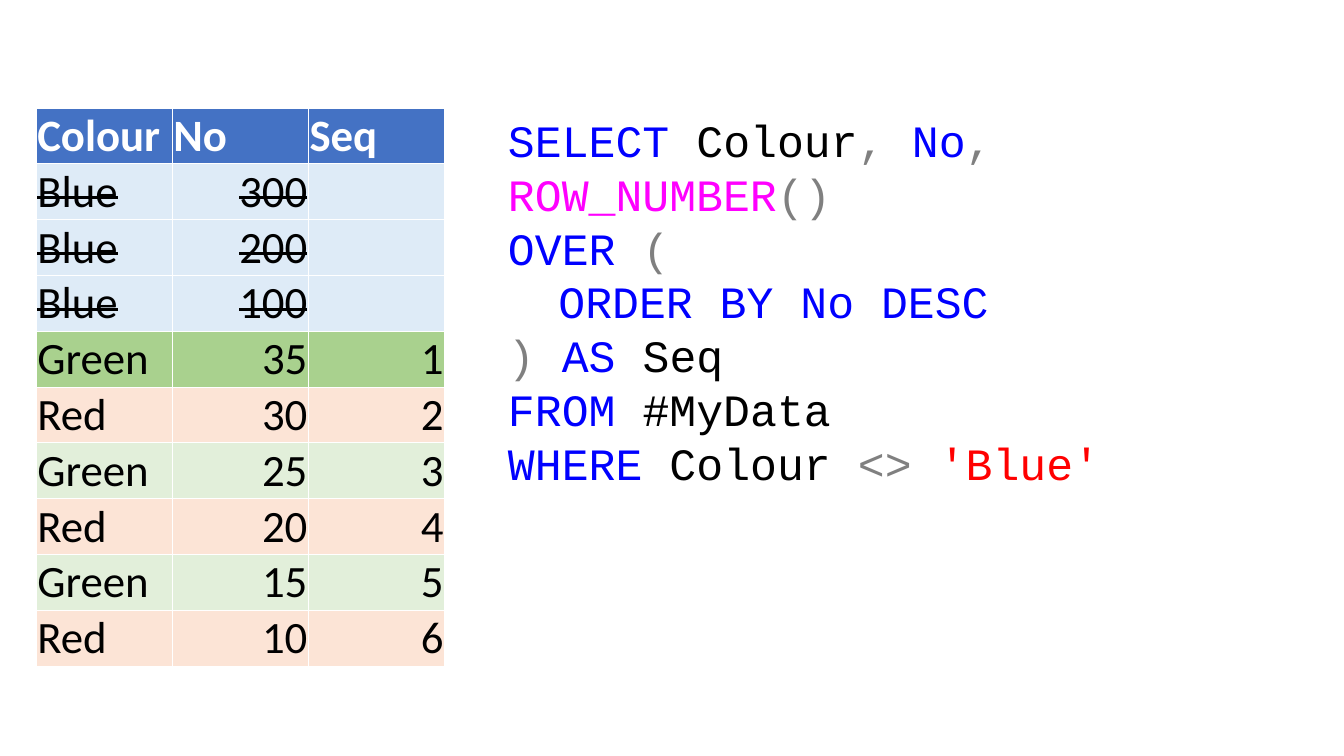
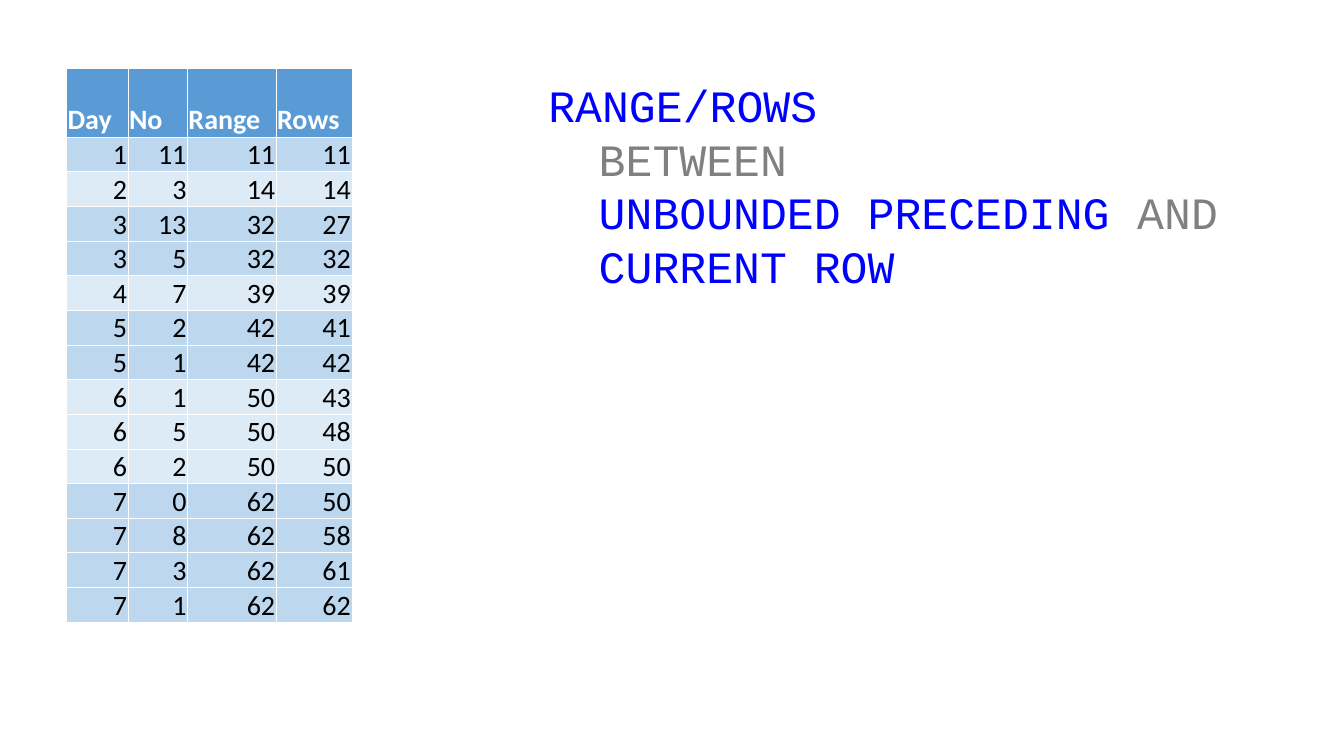
from itertools import accumulate

from lxml.etree import SubElement
from pptx import Presentation
from pptx.dml.color import RGBColor
from pptx.enum.text import MSO_ANCHOR as ANCHOR, MSO_AUTO_SIZE as AUTO, PP_ALIGN as ALIGN
from pptx.oxml.ns import qn
from pptx.util import Inches, Pt

# Colours
WHITE = RGBColor(0xFF, 0xFF, 0xFF)
BLACK = RGBColor(0x00, 0x00, 0x00)
KEYWORD = RGBColor(0x00, 0x00, 0xFF)
OPERATOR = RGBColor(0x80, 0x80, 0x80)
FUNCTION = RGBColor(0xFF, 0x00, 0xFF)
STRING = RGBColor(0xFF, 0x00, 0x00)
HEADER_BLUE = RGBColor(0x44, 0x72, 0xC4)
HEADER_SKY = RGBColor(0x5B, 0x9B, 0xD5)
HIGHLIGHT = RGBColor(0xA9, 0xD1, 0x8E)
ROW_FILLS = {
    "Blue": RGBColor(0xDE, 0xEB, 0xF7),
    "Green": RGBColor(0xE2, 0xEF, 0xDA),
    "Red": RGBColor(0xFC, 0xE4, 0xD6),
}
DAY_FILLS = [RGBColor(0xDD, 0xEB, 0xF7), RGBColor(0xBD, 0xD7, 0xEE)]


class Deck:
    table_font = "Calibri"
    code_font = "Courier New"
    code_size = 32
    border_width = 0.5

    def __init__(self):
        self.prs = Presentation()
        self.prs.slide_width, self.prs.slide_height = Inches(13.33), Inches(7.5)
        self.s = None

    def slide(self):
        self.s = self.prs.slides.add_slide(self.prs.slide_layouts[6])

    def run(self, p, text, font, size, colour, bold=False, strike=False):
        r = p.add_run()
        r.text = text
        r.font.name, r.font.size, r.font.bold = font, Pt(size), bold
        r.font.color.rgb = colour
        if strike:
            r.font._element.set("strike", "sngStrike")

    def borders(self, cell):
        tc_pr = cell._tc.get_or_add_tcPr()
        for side in ("lnL", "lnR", "lnT", "lnB"):
            ln = SubElement(tc_pr, qn(f"a:{side}"), w=str(Pt(self.border_width)))
            fill = SubElement(ln, qn("a:solidFill"))
            SubElement(fill, qn("a:srgbClr"), val=str(WHITE))

    def cell(self, cell, value, size, fill, header=False, strike=False):
        self.borders(cell)
        cell.fill.solid()
        cell.fill.fore_color.rgb = fill
        cell.vertical_anchor = ANCHOR.BOTTOM
        cell.margin_left = cell.margin_right = cell.margin_top = Inches(0.01)
        cell.margin_bottom = 0
        if value is None:
            return
        p = cell.text_frame.paragraphs[0]
        p.alignment = ALIGN.RIGHT if isinstance(value, int) else ALIGN.LEFT
        self.run(p, str(value), self.table_font, size,
                 WHITE if header else BLACK, header, strike)

    def table(self, left, top, widths, heights, size, header, header_fill, rows):
        """Each row is (values, fill, strike)."""
        frame = self.s.shapes.add_table(
            len(rows) + 1, len(header), Inches(left), Inches(top),
            Inches(sum(widths)), Inches(sum(heights)))
        table = frame.table
        table.first_row = table.horz_banding = False
        for column, width in zip(table.columns, widths):
            column.width = Inches(width)
        for row, height in zip(table.rows, heights):
            row.height = Inches(height)
        for i, (values, fill, strike) in enumerate([(header, header_fill, False)] + rows):
            for j, value in enumerate(values):
                self.cell(table.cell(i, j), value, size, fill, i == 0, strike)

    def code(self, left, top, width, height, lines):
        """Each line is a list of (text, colour) runs."""
        sp = self.s.shapes.add_textbox(
            Inches(left), Inches(top), Inches(width), Inches(height))
        tf = sp.text_frame
        tf.word_wrap = True
        tf.auto_size = AUTO.SHAPE_TO_FIT_TEXT
        for i, line in enumerate(lines):
            p = tf.add_paragraph() if i else tf.paragraphs[0]
            for text, colour in line:
                self.run(p, text, self.code_font, self.code_size, colour)


def filtered_sequence(deck):
    deck.slide()

    # Filtered rows are struck out; the first numbered row is highlighted
    data = [("Blue", 300, None), ("Blue", 200, None), ("Blue", 100, None),
            ("Green", 35, 1), ("Red", 30, 2), ("Green", 25, 3),
            ("Red", 20, 4), ("Green", 15, 5), ("Red", 10, 6)]
    rows = [(values, HIGHLIGHT if values[2] == 1 else ROW_FILLS[values[0]], values[2] is None)
            for values in data]
    deck.table(0.36, 1.07, [1.35] * 3, [0.55] * 10, 32,
               ["Colour", "No", "Seq"], HEADER_BLUE, rows)

    # Query
    deck.code(4.94, 1.07, 6.67, 3.87, [
        [("SELECT", KEYWORD), (" Colour", BLACK), (", ", OPERATOR),
         ("No", KEYWORD), (",", OPERATOR)],
        [("ROW_NUMBER", FUNCTION), ("()", OPERATOR)],
        [("OVER ", KEYWORD), ("(", OPERATOR)],
        [("\tORDER BY No DESC", KEYWORD)],
        [(") ", OPERATOR), ("AS ", KEYWORD), ("Seq", BLACK)],
        [("FROM", KEYWORD), (" #MyData", BLACK)],
        [("WHERE", KEYWORD), (" Colour ", BLACK), ("<> ", OPERATOR), ("'Blue'", STRING)],
    ])


def running_totals(deck):
    deck.slide()

    # Rows is a running total; Range takes the last total of each day
    days = [1, 2, 3, 3, 4, 5, 5, 6, 6, 6, 7, 7, 7, 7]
    numbers = [11, 3, 13, 5, 7, 2, 1, 1, 5, 2, 0, 8, 3, 1]
    totals = list(accumulate(numbers))
    day_totals = dict(zip(days, totals))
    rows = [((day, number, day_totals[day], total), DAY_FILLS[day % 2], False)
            for day, number, total in zip(days, numbers, totals)]
    deck.table(0.66, 0.68, [0.61, 0.59, 0.88, 0.75], [0.68] + [0.34] * len(rows), 20,
               ["Day", "No", "Range", "Rows"], HEADER_SKY, rows)

    # Window frame clause
    deck.code(5.34, 0.72, 6.93, 2.26, [
        [("RANGE/ROWS", KEYWORD)],
        [("\tBETWEEN", OPERATOR)],
        [("\tUNBOUNDED PRECEDING ", KEYWORD), ("AND", OPERATOR)],
        [("\tCURRENT ROW", KEYWORD)],
    ])


def main():
    deck = Deck()
    filtered_sequence(deck)
    running_totals(deck)
    deck.prs.save("out.pptx")


if __name__ == "__main__":
    main()
